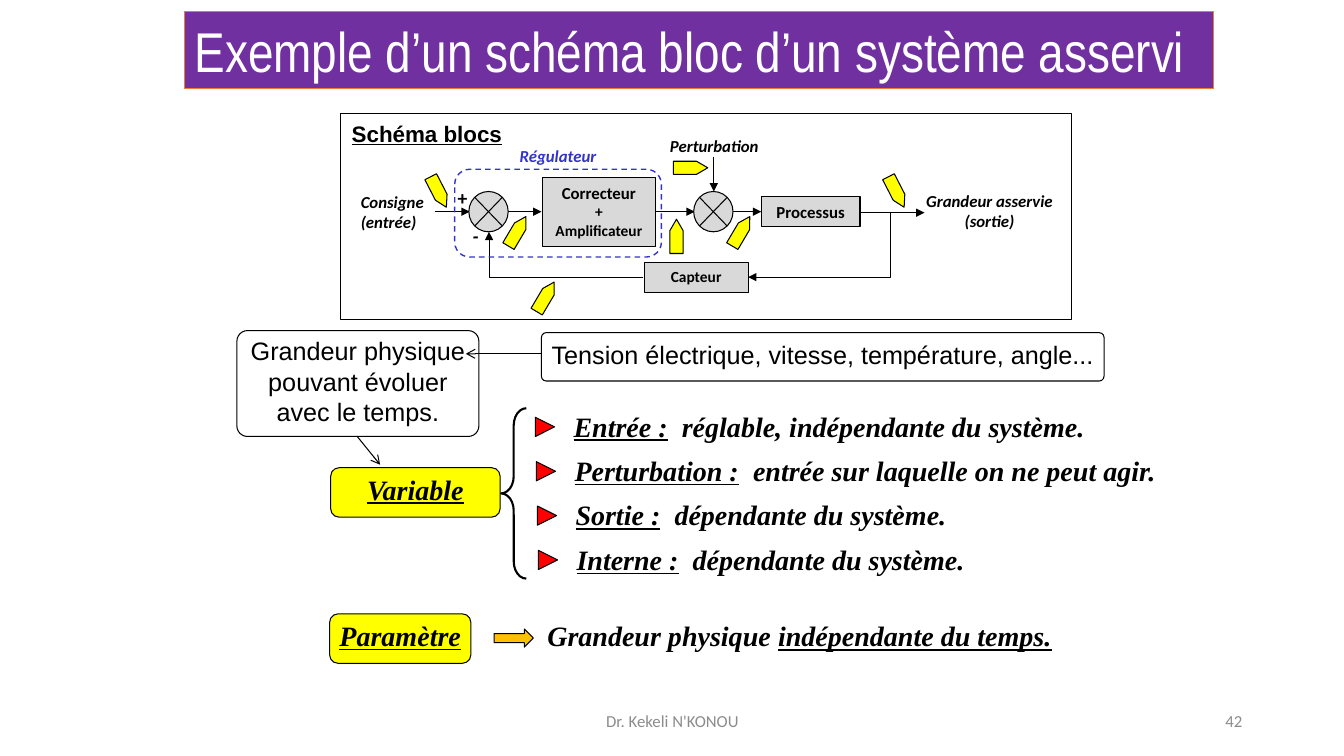
"""Build a slide showing the block diagram of a feedback control system."""
from lxml import etree
from pptx import Presentation
from pptx.dml.color import RGBColor
from pptx.enum.dml import MSO_LINE
from pptx.enum.shapes import MSO_CONNECTOR as CONN, MSO_SHAPE as SHAPE
from pptx.enum.text import MSO_ANCHOR as ANCHOR, MSO_AUTO_SIZE as AUTO, PP_ALIGN as ALIGN
from pptx.oxml.ns import qn
from pptx.util import Cm, Pt

COLORS = {"black": "000000", "white": "FFFFFF", "grey": "D9D9D9", "yellow": "FFFF00",
          "red": "FF0000", "amber": "FFC000", "blue": "3333CC", "purple": "7030A0",
          "orange": "ED7D31", "footer": "8C8C8C"}
TITLE = "Exemple d’un schéma bloc d’un système asservi"
FRAME = (3.38, 1.13, 7.25, 2.04)
REGULATOR = (4.51, 1.68, 2.05, 0.87)

SIGNALS = [(6.04, 2.1, 6.89, 2.1), (4.96, 2.1, 5.37, 2.1), (8.32, 2.11, 9.17, 2.11),
           (4.31, 2.1, 4.66, 2.1), (6.7, 2.1, 7.55, 2.1), (7.08, 1.56, 7.08, 1.9)]
BLOCKS = [((5.38, 1.76, 1.12, 0.69), [("Correcteur", 12), ("+", 11), ("Amplificateur", 11)]),
          ((6.39, 2.6, 1.03, 0.3), [("Capteur", 11)]),
          ((7.55, 1.95, 0.98, 0.3), [("Processus", 12)])]
ADDERS = [(4.65, 1.9), (6.88, 1.9)]
LABELS = [((3.48, 1.85, 0.9, 0.53), "Consigne (entrée)", ALIGN.LEFT, 12, True, "black"),
          ((9, 1.84, 1.63, 0.52), "Grandeur asservie (sortie)", ALIGN.CENTER, 12, True, "black"),
          ((4.44, 1.79, 0.33, 0.31), "+", ALIGN.LEFT, 14, False, "black"),
          ((4.59, 2.17, 0.32, 0.31), "-", ALIGN.LEFT, 14, True, "black"),
          ((6.48, 1.3, 1.21, 0.3), "Perturbation", ALIGN.CENTER, 12, True, "black"),
          ((4.93, 1.4, 1.21, 0.3), "Régulateur", ALIGN.CENTER, 12, True, "blue")]
MARKERS = [(4.18, 1.84, 62.8), (8.72, 1.84, 62.8), (6.68, 1.6, 0), (7.18, 2.23, 300.6),
           (5.24, 2.88, 300.6), (4.96, 2.23, 300.6), (6.54, 2.28, 270)]

TERMS = [((3.28, 4.64, 1.68, 0.49), "Variable"), ((3.27, 6.09, 1.4, 0.49), "Paramètre")]
VARIABLES = [("Entrée :", "réglable, indépendante du système."),
             ("Perturbation :", "entrée sur laquelle on ne peut agir."),
             ("Sortie :", "dépendante du système."),
             ("Interne :", "dépendante du système.")]
VARIABLES_AT, ROW_STEP, ROW_SHIFT = (5.59, 4.01), 0.44, 0.01
PARAMETER = ("Grandeur physique ", "indépendante du temps.")
NOTES = [((3.3, 4.03, 3.77, 4.61), (2.35, 3.28, 2.4, 1.05), 0.08,
          "Grandeur physique pouvant évoluer avec le temps."),
         ((5.65, 3.51, 4.62, 3.51), (5.37, 3.3, 5.58, 0.48), 0.03,
          "Tension électrique, vitesse, température, angle...")]
FOOTERS = [((4.42, 6.95, 4.5, 0.4), "Dr. Kekeli N'KONOU", ALIGN.CENTER),
           ((9.42, 6.95, 3, 0.4), "42", ALIGN.RIGHT)]


def cm(inches):
    return Cm(inches * 2.54)


def rgb(name):
    return RGBColor.from_string(COLORS[name])


def style(font, name, size, color="black", bold=False, italic=False, underline=False):
    font.name, font.size, font.color.rgb = name, Pt(size), rgb(color)
    font.bold, font.italic, font.underline = bold, italic, underline


def add_shape(slide, kind, box, fill=None, line="black", width=0.75, rot=0, adj=None):
    sp = slide.shapes.add_shape(kind, *map(cm, box))
    sp.shadow.inherit = False
    if fill:
        sp.fill.solid()
        sp.fill.fore_color.rgb = rgb(fill)
    else:
        sp.fill.background()
    sp.line.color.rgb, sp.line.width = rgb(line), Pt(width)
    sp.rotation = rot
    if adj is not None:
        sp.adjustments[0] = adj
    return sp


def add_line(slide, ends, head=None, kind=CONN.STRAIGHT):
    c = slide.shapes.add_connector(kind, *map(cm, ends))
    c.line.color.rgb, c.line.width = rgb("black"), Pt(0.75)
    if head:
        etree.SubElement(c.line._get_or_add_ln(), qn("a:tailEnd"), type=head)
    etree.SubElement(c._element.spPr, qn("a:effectLst"))
    return c


def add_text(slide, box, text, align=ALIGN.LEFT, anchor=ANCHOR.TOP):
    tf = slide.shapes.add_textbox(*map(cm, box)).text_frame
    tf.word_wrap, tf.vertical_anchor = True, anchor
    p = tf.paragraphs[0]
    p.text, p.alignment = text, align
    return p


def fill_text(sp, text, inset=0.1):
    tf = sp.text_frame
    tf.word_wrap, tf.vertical_anchor = True, ANCHOR.MIDDLE
    tf.margin_left = tf.margin_right = cm(inset)
    tf.margin_top = 0
    p = tf.paragraphs[0]
    p.text, p.alignment = text, ALIGN.CENTER
    return tf, p


def add_title(slide):
    sp = slide.shapes.title
    sp.left, sp.top, sp.width, sp.height = map(cm, (1.83, 0.11, 10.2, 0.77))
    sp.fill.solid()
    sp.fill.fore_color.rgb = rgb("purple")
    sp.line.color.rgb, sp.line.width = rgb("orange"), Pt(0.5)
    tf = sp.text_frame
    tf.text, tf.word_wrap, tf.auto_size = TITLE, False, AUTO.NONE
    p = tf.paragraphs[0]
    p.alignment = ALIGN.LEFT
    style(p.runs[0].font, "Arial Narrow", 40, "white")


def add_feedback(slide):
    c = add_line(slide, (8.04, 2.11, 7.42, 2.75), "triangle", CONN.ELBOW)
    guides = c._element.spPr.find(qn("a:prstGeom")).get_or_add_avLst()
    etree.SubElement(guides, qn("a:gd"), name="adj1", fmla="val -128200")
    c = add_line(slide, (4.85, 2.3, 6.38, 2.75), "triangle", CONN.ELBOW)
    c._element.spPr.find(qn("a:prstGeom")).set("prst", "bentConnector2")
    c._element.spPr.find(qn("a:xfrm")).set("rot", "10800000")


def add_diagram(slide):
    add_shape(slide, SHAPE.RECTANGLE, FRAME, "white")
    for ends in SIGNALS:
        add_line(slide, ends, "triangle")
    add_feedback(slide)
    for box, lines in BLOCKS:
        tf = add_shape(slide, SHAPE.RECTANGLE, box, "grey").text_frame
        tf.word_wrap, tf.vertical_anchor = True, ANCHOR.TOP
        tf.text = "\n".join(text for text, _ in lines)
        for p, (_, size) in zip(tf.paragraphs, lines):
            p.alignment = ALIGN.CENTER
            style(p.runs[0].font, "Calibri", size, bold=True)
    for x, y in ADDERS:
        add_shape(slide, SHAPE.OVAL, (x, y, 0.39, 0.4), "grey")
        left, right, top, bottom = x + 0.06, x + 0.33, y + 0.06, y + 0.34
        add_line(slide, (left, top, right, bottom))
        add_line(slide, (right, top, left, bottom))
    zone = add_shape(slide, SHAPE.ROUNDED_RECTANGLE, REGULATOR, line="blue", width=1, adj=0.17)
    zone.line.dash_style = MSO_LINE.DASH
    for box, text, align, size, italic, color in LABELS:
        p = add_text(slide, box, text, align)
        style(p.runs[0].font, "Calibri", size, color, True, italic)
    p = add_text(slide, (3.39, 1.14, 1.72, 0.37), "Schéma blocs")
    style(p.runs[0].font, "Arial", 16, bold=True, underline=True)
    for x, y, rot in MARKERS:
        add_shape(slide, SHAPE.PENTAGON, (x, y, 0.34, 0.13), "yellow", rot=rot, adj=0.86)


def add_definitions(slide):
    serif = ("Times New Roman", 20, "black", True, True)
    for box, text in TERMS:
        sp = add_shape(slide, SHAPE.ROUNDED_RECTANGLE, box, "yellow", adj=0.17)
        tf, p = fill_text(sp, text, 0.03)
        tf.margin_bottom = cm(0.07)
        style(p.runs[0].font, *serif, True)
    x0, y0 = VARIABLES_AT
    for i, (name, meaning) in enumerate(VARIABLES):
        x, y = x0 + i * ROW_SHIFT, y0 + i * ROW_STEP
        add_shape(slide, SHAPE.ISOSCELES_TRIANGLE, (x - 0.28, y + 0.13, 0.19, 0.19), "red", rot=90)
        p = add_text(slide, (x, y, 6, 0.44), name)
        for text in (" ", meaning):
            p.add_run().text = text
        for r in p.runs:
            style(r.font, *serif, r.text == name)
        p.runs[1]._r.get_or_add_rPr().set("spc", "500")
    add_shape(slide, SHAPE.LEFT_BRACE, (4.97, 4.05, 0.25, 1.69), width=1.5, adj=0.68)
    add_shape(slide, SHAPE.RIGHT_ARROW, (4.9, 6.24, 0.39, 0.18), "amber")
    p = add_text(slide, (5.33, 6.09, 5.26, 0.44), PARAMETER[0])
    p.add_run().text = PARAMETER[1]
    for r, underline in zip(p.runs, (False, True)):
        style(r.font, *serif, underline)
    for arrow, box, inset, text in NOTES:
        add_line(slide, arrow, "arrow")
        sp = add_shape(slide, SHAPE.ROUNDED_RECTANGLE, box, "white", adj=0.1)
        _, p = fill_text(sp, text, inset)
        style(p.runs[0].font, "Arial", 18)


def main():
    prs = Presentation()
    prs.slide_width, prs.slide_height = cm(13.33), cm(7.5)
    slide = prs.slides.add_slide(prs.slide_layouts[5])
    add_diagram(slide)
    add_definitions(slide)
    add_title(slide)
    for box, text, align in FOOTERS:
        p = add_text(slide, box, text, align, ANCHOR.MIDDLE)
        style(p.runs[0].font, "Calibri", 12, "footer")
    prs.save("out.pptx")


if __name__ == "__main__":
    main()
